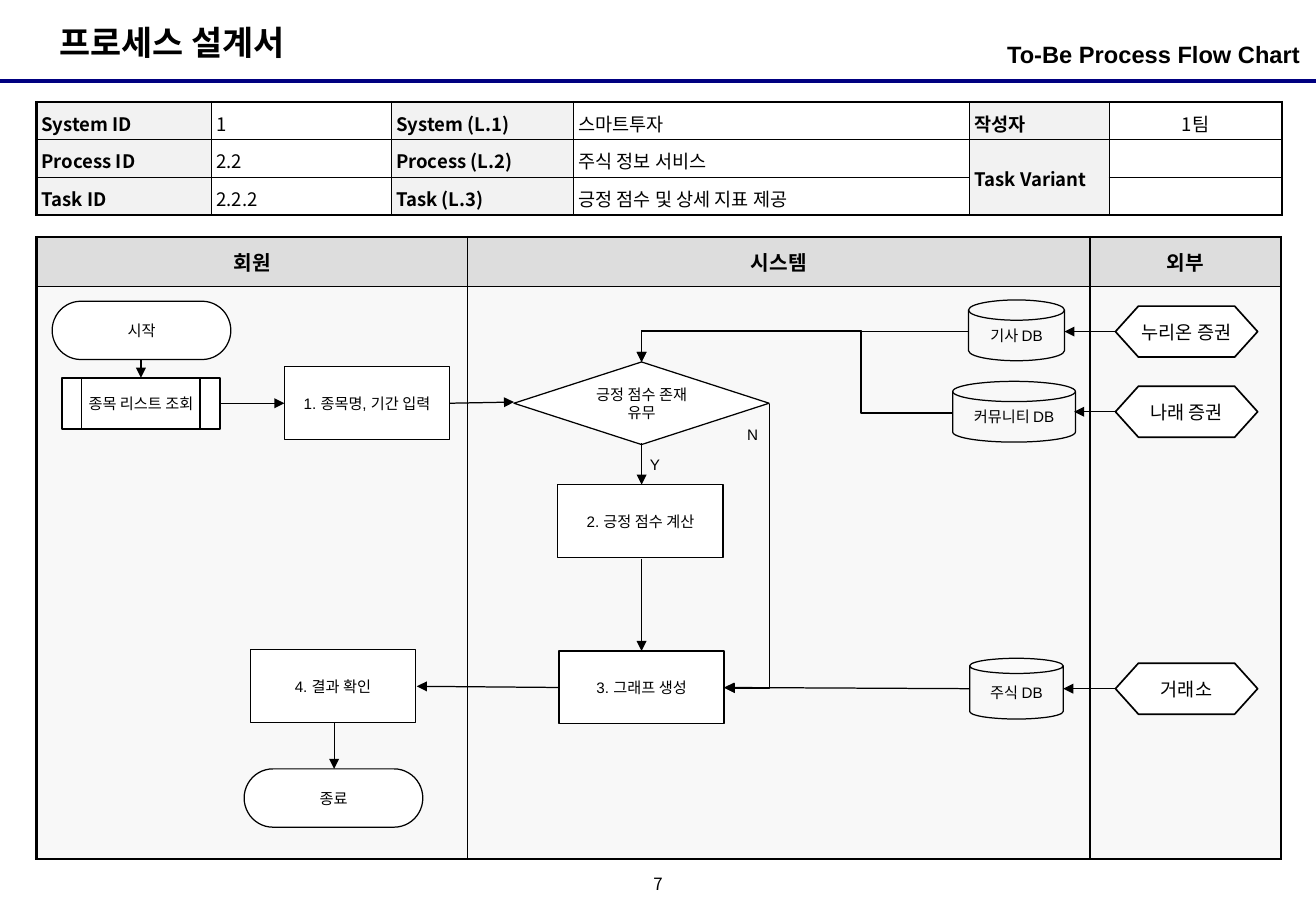
from lxml.etree import SubElement
from pptx import Presentation
from pptx.dml.color import RGBColor
from pptx.enum.shapes import MSO_CONNECTOR, MSO_SHAPE
from pptx.enum.text import MSO_ANCHOR, PP_ALIGN
from pptx.oxml.ns import qn
from pptx.util import Inches, Pt

COLORS = {"black": "000000", "white": "FFFFFF", "navy": "000080",
          "label": "F2F2F2", "lane": "F8F8F8", "lane_header": "DDDDDD"}
KOREAN = "Noto Sans CJK KR"
LATIN = "Arial"


def color(name):
    return RGBColor.from_string(COLORS[name])


def write_text(frame, text, size=9, font=LATIN, bold=False,
               align=PP_ALIGN.CENTER, spacing=None):
    paragraph = frame.paragraphs[0]
    paragraph.alignment = align
    if spacing:
        paragraph.line_spacing = spacing
    if not text:
        paragraph._p.get_or_add_endParaRPr().set("sz", str(size * 100))
        return
    run = paragraph.add_run()
    run.text = text
    run.font.size = Pt(size)
    run.font.name = font
    run.font.bold = bold
    run.font.color.rgb = color("black")
    SubElement(run._r.get_or_add_rPr(), qn("a:ea"), typeface=KOREAN)


def set_frame(frame, horizontal, vertical, anchor=MSO_ANCHOR.MIDDLE):
    frame.word_wrap = True
    frame.margin_left = frame.margin_right = Inches(horizontal)
    frame.margin_top = frame.margin_bottom = Inches(vertical)
    frame.vertical_anchor = anchor


def add_text(slide, box, text, horizontal=0.1, vertical=0.05,
             anchor=MSO_ANCHOR.MIDDLE, **text_format):
    shape = slide.shapes.add_textbox(*map(Inches, box))
    set_frame(shape.text_frame, horizontal, vertical, anchor)
    write_text(shape.text_frame, text, **text_format)


def add_node(slide, kind, box, text, fill="white", line=0.75,
             horizontal=0.05, vertical=0.05, size=9):
    shape = slide.shapes.add_shape(kind, *map(Inches, box))
    shape.shadow.inherit = False
    shape.fill.solid()
    shape.fill.fore_color.rgb = color(fill)
    shape.line.color.rgb = color("black")
    shape.line.width = Pt(line)
    set_frame(shape.text_frame, horizontal, vertical)
    write_text(shape.text_frame, text, size=size)
    return shape


def add_line(slide, begin, end, kind=MSO_CONNECTOR.STRAIGHT,
             line="black", width=0.75, arrow=True):
    connector = slide.shapes.add_connector(kind, *map(Inches, begin + end))
    connector.line.color.rgb = color(line)
    connector.line.width = Pt(width)
    properties = connector._element.spPr
    if arrow:
        SubElement(properties.find(qn("a:ln")), qn("a:tailEnd"), type="triangle")
    SubElement(properties, qn("a:effectLst"))
    return connector


def add_bent_arrow(slide, begin, end, preset, rotation=0, adjustments=()):
    connector = add_line(slide, begin, end, kind=MSO_CONNECTOR.ELBOW)
    properties = connector._element.spPr
    properties.find(qn("a:xfrm")).set("rot", str(rotation * 60000))
    geometry = properties.find(qn("a:prstGeom"))
    geometry.set("prst", preset)
    guides = geometry.find(qn("a:avLst"))
    for number, value in enumerate(adjustments, 1):
        SubElement(guides, qn("a:gd"), name=f"adj{number}", fmla=f"val {value}")


def set_borders(cell, widths):
    properties = cell._tc.get_or_add_tcPr()
    for side, width in zip("LRTB", widths):
        line = SubElement(properties, qn(f"a:ln{side}"), w=str(Pt(width)))
        fill = SubElement(line, qn("a:solidFill"))
        SubElement(fill, qn("a:srgbClr"), val=COLORS["black"])


def add_grid(slide, box, columns, heights, inner):
    table = slide.shapes.add_table(len(heights), len(columns),
                                   *map(Inches, box)).table
    table.first_row = table.horz_banding = False
    for column, width in zip(table.columns, columns):
        column.width = Inches(width)
    for row, height in zip(table.rows, heights):
        row.height = Inches(height)
    last_row, last_column = len(heights) - 1, len(columns) - 1
    for i in range(len(heights)):
        for j in range(len(columns)):
            edges = (j == 0, j == last_column, i == 0, i == last_row)
            set_borders(table.cell(i, j), [1.5 if edge else inner for edge in edges])
    return table


def fill_cell(cell, text, fill, margins, anchor=MSO_ANCHOR.MIDDLE, **text_format):
    cell.fill.solid()
    cell.fill.fore_color.rgb = color(fill)
    cell.margin_left = cell.margin_right = Inches(margins[0])
    cell.margin_top = cell.margin_bottom = Inches(margins[1])
    cell.vertical_anchor = anchor
    write_text(cell.text_frame, text, **text_format)


def add_lanes(slide):
    table = add_grid(slide, (0.3, 1.95, 10.24, 5.12), (3.55, 5.12, 1.57),
                     (0.41, 4.71), inner=0.75)
    for j, name in enumerate(("회원", "시스템", "외부")):
        fill_cell(table.cell(0, j), name, "lane_header", (0.1, 0.05), size=12, bold=True)
        fill_cell(table.cell(1, j), "", "lane", (0.1, 0.05))


def add_process_information(slide):
    rows = (("System ID", "1", "System (L.1)", "스마트투자", "작성자", "1팀"),
            ("Process ID", "2.2", "Process (L.2)", "주식 정보 서비스", "Task Variant", ""),
            ("Task ID", "2.2.2", "Task (L.3)", "긍정 점수 및 상세 지표 제공", "", ""))
    table = add_grid(slide, (0.3, 0.84, 10.24, 0.94),
                     (1.44, 1.48, 1.5, 3.26, 1.15, 1.42), (0.31,) * 3, inner=1)
    table.cell(1, 4).merge(table.cell(2, 4))
    for i, row in enumerate(rows):
        for j, text in enumerate(row):
            label = j % 2 == 0
            fill_cell(table.cell(i, j), text, "label" if label else "white", (0.04, 0.04),
                      anchor=MSO_ANCHOR.MIDDLE if j > 3 else MSO_ANCHOR.TOP,
                      size=11, font=KOREAN, bold=label, spacing=1.1,
                      align=PP_ALIGN.CENTER if j == 5 else PP_ALIGN.LEFT)


def add_flow_nodes(slide):
    for left, top, text in ((0.43, 2.48, "시작"), (2.01, 6.33, "종료")):
        add_node(slide, MSO_SHAPE.FLOWCHART_TERMINATOR, (left, top, 1.47, 0.48), text)
    steps = ((2.34, 3.02, "1. 종목명, 기간 입력"), (4.59, 3.99, "2. 긍정 점수 계산"),
             (4.6, 5.36, "3. 그래프 생성"), (2.06, 5.35, "4. 결과 확인"))
    for left, top, text in steps:
        add_node(slide, MSO_SHAPE.RECTANGLE, (left, top, 1.36, 0.6), text)
    add_node(slide, MSO_SHAPE.FLOWCHART_PREDEFINED_PROCESS, (0.51, 3.11, 1.3, 0.42),
             "종목 리스트 조회", line=1, horizontal=0.02, vertical=0)
    add_node(slide, MSO_SHAPE.DIAMOND, (4.23, 2.98, 2.1, 0.68), "긍정 점수 존재 유무",
             horizontal=0.1, vertical=0.1)
    disk = MSO_SHAPE.FLOWCHART_MAGNETIC_DISK
    databases = ((disk, 7.97, 2.47, 0.79, "기사 DB"), (disk, 7.84, 3.14, 1.01, "커뮤니티 DB"),
                 (MSO_SHAPE.CAN, 7.98, 5.42, 0.77, "주식 DB"))
    for kind, left, top, width, text in databases:
        add_node(slide, kind, (left, top, width, 0.5), text, fill="lane")
    for top, text in ((2.52, "누리온 증권"), (3.18, "나래 증권"), (5.46, "거래소")):
        hexagon = add_node(slide, MSO_SHAPE.HEXAGON, (9.18, top, 1.17, 0.42), text,
                           line=1, horizontal=0.04, vertical=0.04, size=11)
        hexagon.adjustments[0] = 0.45
    for left, top, text in ((5.25, 3.7, "Y"), (6.05, 3.45, "N")):
        add_text(slide, (left, top, 0.28, 0.25), text)


def add_flow_arrows(slide):
    arrows = (((1.16, 2.96), (1.16, 3.11)), ((1.81, 3.32), (2.34, 3.32)),
              ((3.7, 3.32), (4.23, 3.31)), ((5.28, 3.65), (5.28, 3.99)),
              ((5.28, 4.6), (5.28, 5.36)), ((4.6, 5.66), (3.43, 5.65)),
              ((2.75, 5.95), (2.75, 6.33)), ((7.98, 5.67), (5.96, 5.66)),
              ((9.18, 2.73), (8.76, 2.73)), ((9.18, 3.39), (8.84, 3.39)),
              ((9.18, 5.67), (8.75, 5.67)))
    for begin, end in arrows:
        add_line(slide, begin, end)
    add_bent_arrow(slide, (7.97, 2.73), (5.28, 2.98), "bentConnector2")
    add_bent_arrow(slide, (4.98, 4.31), (7.32, 4.68), "bentConnector2", rotation=90)
    add_bent_arrow(slide, (5.28, 2.98), (7.84, 3.4), "bentConnector4",
                   rotation=180, adjustments=(29500, 162200))


def main():
    presentation = Presentation()
    presentation.slide_width = Inches(10.83)
    presentation.slide_height = Inches(7.5)
    slide = presentation.slides.add_slide(presentation.slide_layouts[6])
    add_line(slide, (0, 0.67), (10.83, 0.67), line="navy", width=2.25, arrow=False)
    add_text(slide, (0.39, 0.13, 2.26, 0.44), "프로세스 설계서", size=20, bold=True,
             align=PP_ALIGN.LEFT, anchor=MSO_ANCHOR.TOP)
    add_text(slide, (7.39, 0.28, 3.31, 0.39), "To-Be Process Flow Chart", size=14,
             bold=True, align=PP_ALIGN.RIGHT, anchor=MSO_ANCHOR.TOP, horizontal=0)
    add_text(slide, (5.25, 7.17, 0.33, 0.25), "7", size=10, font=KOREAN, spacing=0.8,
             horizontal=0, vertical=0)
    add_lanes(slide)
    add_process_information(slide)
    add_flow_nodes(slide)
    add_flow_arrows(slide)
    presentation.save("out.pptx")


if __name__ == "__main__":
    main()
